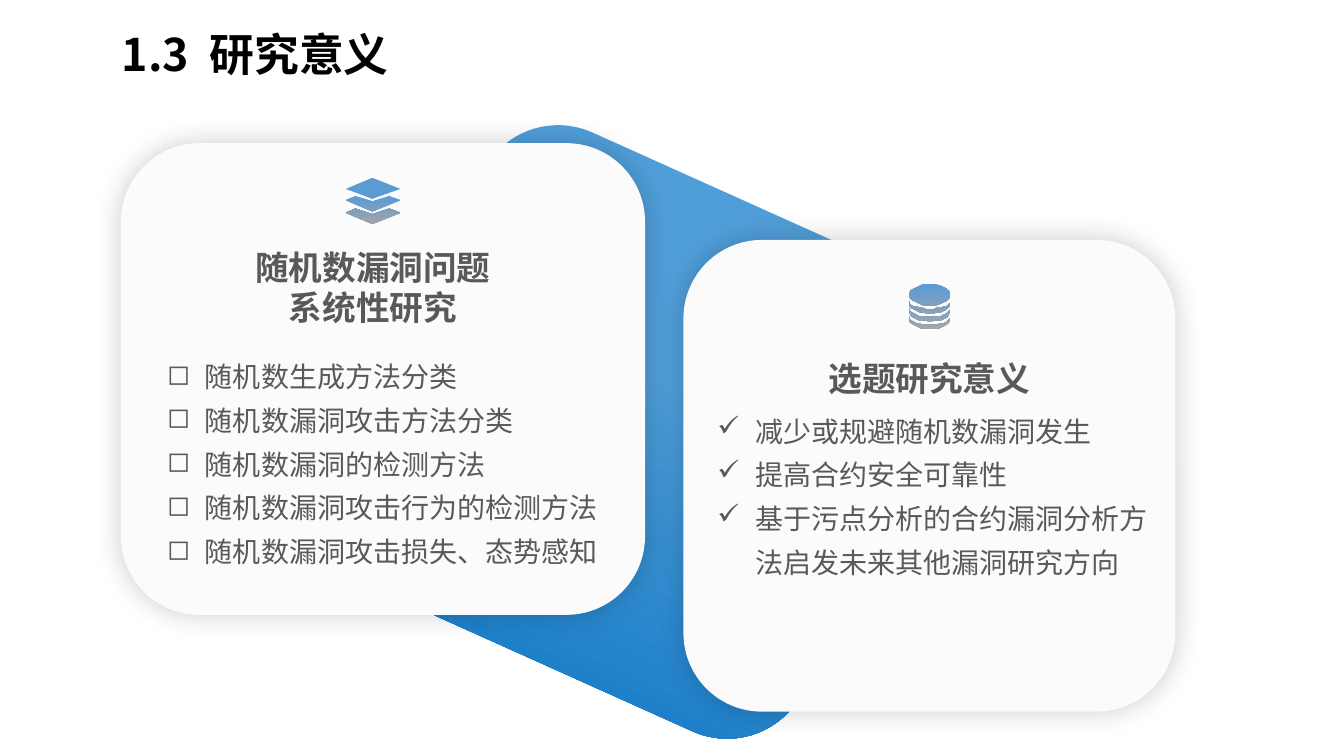
import math
from dataclasses import dataclass

from lxml import etree
from pptx import Presentation
from pptx import util as u
from pptx.dml import color
from pptx.enum import shapes, text
from pptx.oxml import ns

Point = tuple[float, float]
Box = tuple[float, float, float, float]


@dataclass(frozen=True)
class Theme:
    font: str = "Noto Sans CJK SC"
    title_color: str = "000000"
    body_color: str = "595959"
    card_color: str = "FBFBFB"
    shadow_color: str = "000000"
    band_colors: tuple[str, str] = ("509ED9", "006EC0")
    icon_colors: tuple[str, str] = ("5B9BD5", "A5A5A5")
    title_size: int = 32
    heading_size: int = 24
    body_size: int = 20


@dataclass(frozen=True)
class Card:
    box: Box
    heading_box: Box
    heading: list[str]
    list_box: Box
    bullet: str
    items: list[str]


THEME = Theme()
BULLET_INDENT = 27
CARDS = [
    Card((86.4, 102.24, 374.4, 336.96),
         (162.72, 172.8, 207.36, 65.5), ["随机数漏洞问题", "系统性研究"],
         (112.32, 246.24, 331.92, 162), "◻",
         ["随机数生成方法分类", "随机数漏洞攻击方法分类", "随机数漏洞的检测方法",
          "随机数漏洞攻击行为的检测方法", "随机数漏洞攻击损失、态势感知"]),
    Card((488.16, 171.36, 351.36, 336.96),
         (560.16, 252, 207.36, 36), ["选题研究意义"],
         (505.44, 285.12, 326.16, 162), "✓",
         ["减少或规避随机数漏洞发生", "提高合约安全可靠性",
          "基于污点分析的合约漏洞分析方法启发未来其他漏洞研究方向"]),
]


def points(box: Box) -> list[int]:
    return [u.Pt(value) for value in box]


def add_child(parent, tag: str, **attributes: str):
    child = etree.SubElement(parent, ns.qn(tag))
    for name, value in attributes.items():
        child.set(name, value)
    return child


def fill_gradient(shape, colors: tuple[str, str], start: float) -> None:
    """Fill from top to bottom, with no outline."""
    shape.shadow.inherit = False
    shape.line.fill.background()
    shape.fill.gradient()
    shape.fill.gradient_angle = 270
    for stop, value, position in zip(shape.fill.gradient_stops, colors, (start, 1)):
        stop.color.rgb = color.RGBColor.from_string(value)
        stop.position = position


def add_rounded(slide, box: Box):
    return slide.shapes.add_shape(shapes.MSO_SHAPE.ROUNDED_RECTANGLE, *points(box))


def add_card_panel(slide, box: Box) -> None:
    panel = add_rounded(slide, box)
    panel.shadow.inherit = False
    panel.line.fill.background()
    panel.fill.solid()
    panel.fill.fore_color.rgb = color.RGBColor.from_string(THEME.card_color)
    effects = panel._element.spPr.find(ns.qn("a:effectLst"))
    shadow = add_child(effects, "a:outerShdw", blurRad=str(u.Pt(20)), dist="0",
                       algn="ctr", rotWithShape="0")
    tint = add_child(shadow, "a:srgbClr", val=THEME.shadow_color)
    add_child(tint, "a:alpha", val="20000")


def add_run(paragraph, wording: str, size: int, ink: str, bold: bool):
    run = paragraph.add_run()
    run.text = wording
    run.font.color.rgb = color.RGBColor.from_string(ink)
    for name, value in {"size": u.Pt(size), "bold": bold, "name": THEME.font}.items():
        setattr(run.font, name, value)
    add_child(run._r.get_or_add_rPr(), "a:ea", typeface=THEME.font)
    return run


def add_text(slide, box: Box, lines: list[list[str]], size: int, ink: str,
             bold: bool, paragraph_format: dict, bullet: str = "") -> list:
    """Write one paragraph a line and return the runs."""
    frame = slide.shapes.add_textbox(*points(box)).text_frame
    frame.word_wrap = True
    frame.auto_size = text.MSO_AUTO_SIZE.SHAPE_TO_FIT_TEXT
    runs = []
    for index, line in enumerate(lines):
        paragraph = frame.add_paragraph() if index else frame.paragraphs[0]
        for name, value in paragraph_format.items():
            setattr(paragraph, name, value)
        if bullet:
            properties = paragraph._p.get_or_add_pPr()
            properties.set("marL", str(u.Pt(BULLET_INDENT)))
            properties.set("indent", str(-u.Pt(BULLET_INDENT)))
            add_child(properties, "a:buChar", char=bullet)
        runs += [add_run(paragraph, part, size, ink, bold) for part in line]
    return runs


def add_icon(slide, outlines: list[list[Point]], start: float) -> None:
    first, *others = outlines
    builder = slide.shapes.build_freeform(*first[0], scale=u.Pt(1))
    builder.add_line_segments(first[1:])
    for outline in others:
        builder.move_to(*outline[0])
        builder.add_line_segments(outline[1:])
    fill_gradient(builder.convert_to_shape(), THEME.icon_colors, start)


def arc(x: float, y: float, rx: float, ry: float, begin: int, end: int) -> list[Point]:
    step = 10 if end > begin else -10
    return [(x + rx * math.cos(math.radians(a)), y + ry * math.sin(math.radians(a)))
            for a in range(begin, end + step, step)]


def layers_outlines(x: float, y: float) -> list[list[Point]]:
    """A rhombus above two chevrons; x, y is its centre."""
    half, rise, notch, step = 19.4, 7.9, 12, 8.5
    outlines = [[(x - half, y), (x, y - rise), (x + half, y), (x, y + rise)]]
    for level in (1, 2):
        row = y + level * step
        inner = row - rise * (1 - notch / half)
        outlines.append([(x - notch, inner), (x, row + 1.4), (x + notch, inner),
                         (x + half, row), (x, row + rise), (x - half, row)])
    return outlines


def database_outlines(x: float, y: float) -> list[list[Point]]:
    """An ellipse above three curved bands; x, y is its centre."""
    rx, step = 14.8, 5.7
    outlines = [arc(x, y, rx, 7.6, 0, 350)]
    for level in range(3):
        row = y + 4 + level * step
        outlines.append(arc(x, row, rx, 6.1, 180, 0)
                        + arc(x, row + 1.4, rx, 7.9, 0, 180))
    return outlines


def main() -> None:
    presentation = Presentation()
    presentation.slide_width, presentation.slide_height = u.Pt(960), u.Pt(540)
    slide = presentation.slides.add_slide(presentation.slide_layouts[6])

    # Title, with a widened space after the number
    title_runs = add_text(slide, (79.92, 15.84, 213.12, 46.08), [["1.3", " ", "研究意义"]],
                          THEME.title_size, THEME.title_color, True, {})
    title_runs[1]._r.get_or_add_rPr().set("spc", "720")

    # Tilted band behind the cards
    band = add_rounded(slide, (278.64, 128.16, 360.72, 360.72))
    band.rotation = 24.2
    fill_gradient(band, THEME.band_colors, 0.43)

    # Card panels
    for card in CARDS:
        add_card_panel(slide, card.box)

    # Icons
    add_icon(slide, layers_outlines(266.5, 134.6), 0.43)
    add_icon(slide, database_outlines(664.2, 210.6), 0)

    # Card headings and lists
    for card in CARDS:
        add_text(slide, card.list_box, [[item] for item in card.items], THEME.body_size,
                 THEME.body_color, False, {"line_spacing": 1.3}, card.bullet)
        add_text(slide, card.heading_box, [[line] for line in card.heading],
                 THEME.heading_size, THEME.body_color, True,
                 {"alignment": text.PP_ALIGN.CENTER})

    presentation.save("out.pptx")


if __name__ == "__main__":
    main()
